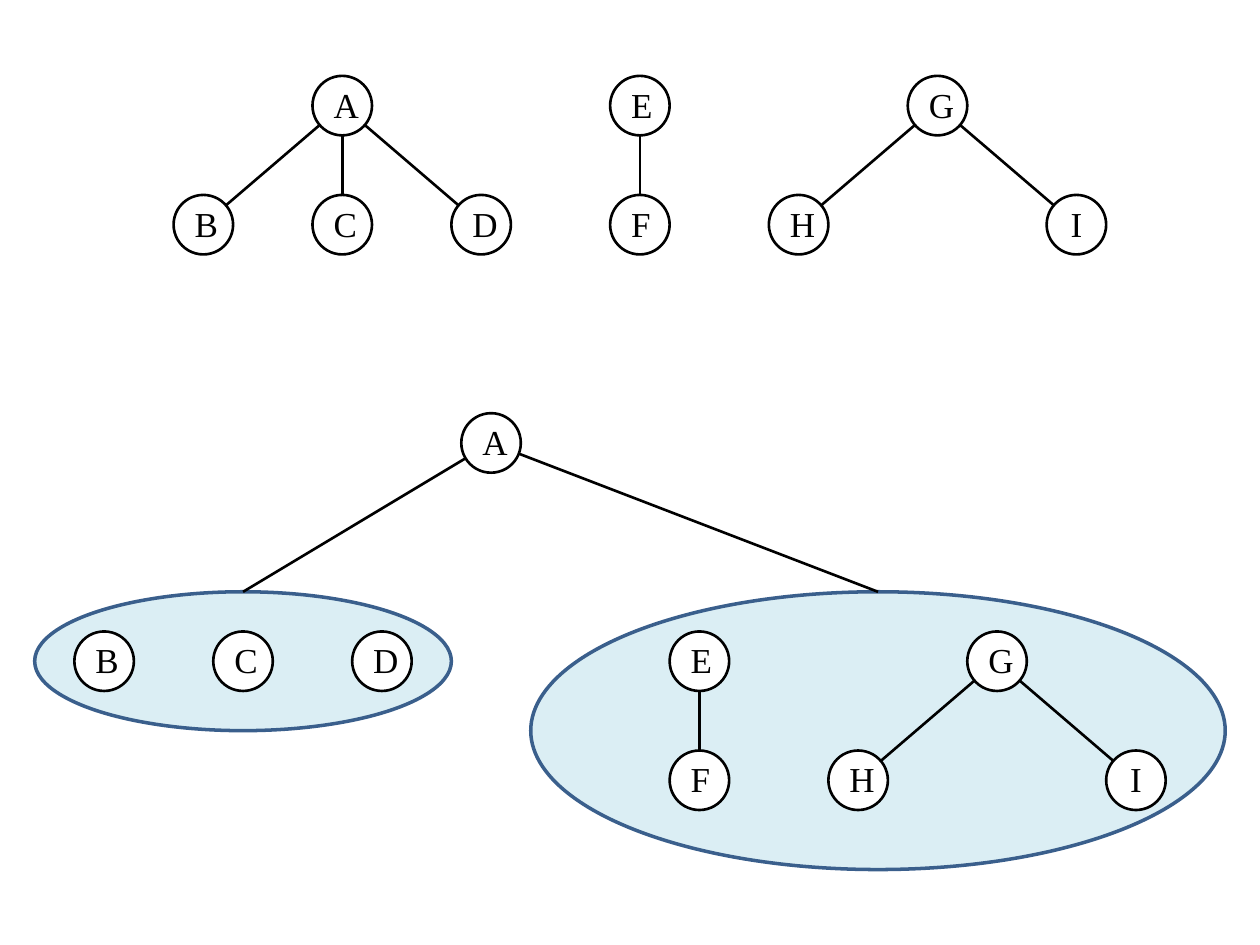
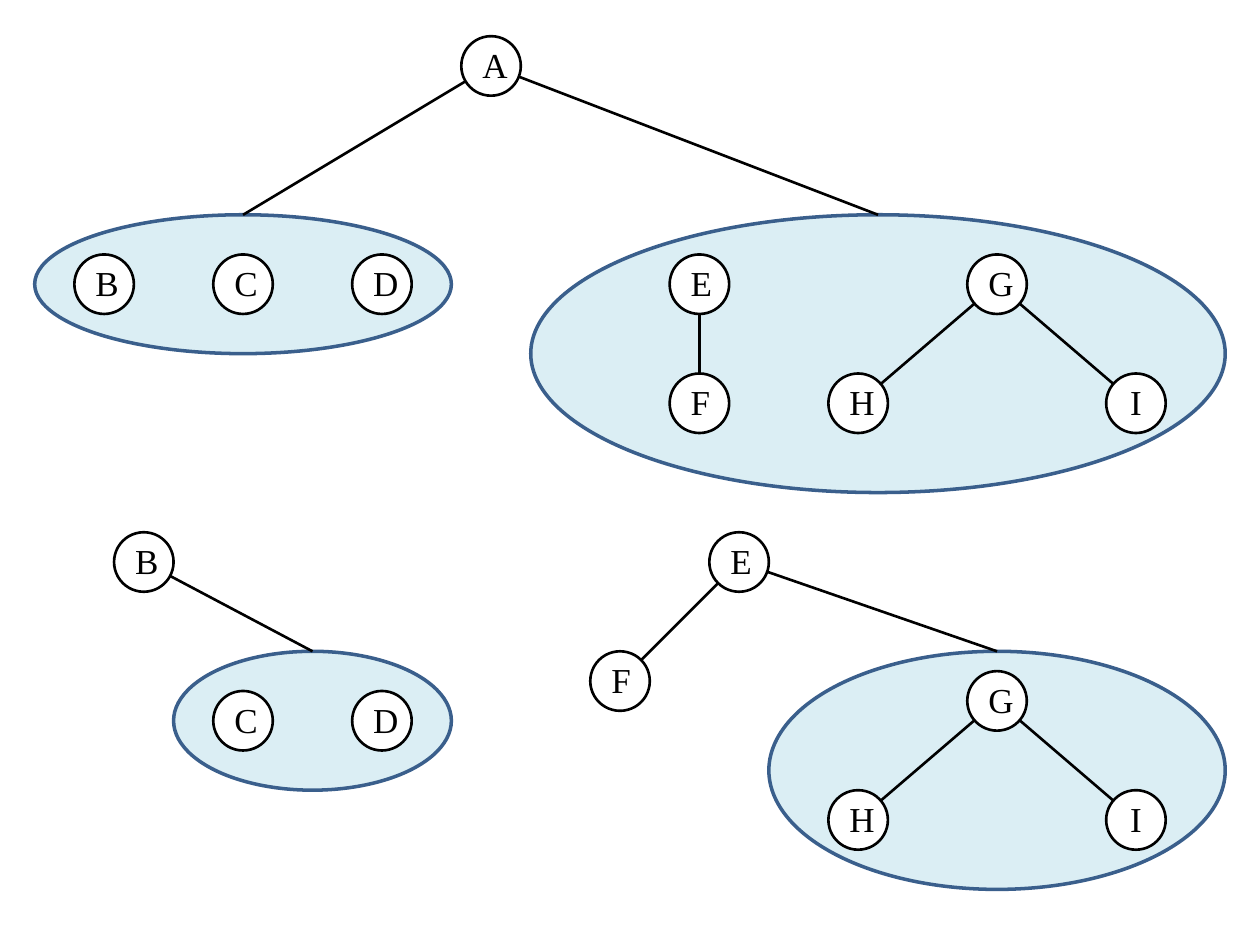
import dataclasses

import lxml.etree
import pptx
import pptx.dml.color
import pptx.enum.shapes
import pptx.enum.text
import pptx.oxml.ns
import pptx.util

Cm = pptx.util.Cm
Pt = pptx.util.Pt
RGB = pptx.dml.color.RGBColor.from_string


@dataclasses.dataclass(frozen=True)
class Theme:
    ink: str = "000000"
    paper: str = "FFFFFF"
    group_fill: str = "DBEEF4"
    group_line: str = "3A5F8C"
    font: str = "Times New Roman"
    size: float = 20
    line: float = 1.5
    group_width: float = 2
    node: float = 1.2
    step: float = 2.8
    level: float = 2.4


@dataclasses.dataclass(frozen=True)
class Box:
    x: float
    y: float
    w: float
    h: float

    @property
    def top(self):
        return self.x + self.w / 2, self.y


T = Theme()
PAIR = {"H": -T.step, "I": T.step}
TRIPLE = {"B": -T.step, "C": 0, "D": T.step}


def ellipse(s, box, fill, line, width):
    sp = s.shapes.add_shape(pptx.enum.shapes.MSO_SHAPE.OVAL,
                            Cm(box.x), Cm(box.y), Cm(box.w), Cm(box.h))
    sp.shadow.inherit = False
    sp.fill.solid()
    sp.fill.fore_color.rgb = RGB(fill)
    sp.line.color.rgb = RGB(line)
    sp.line.width = Pt(width)
    return sp


def group(s, box):
    ellipse(s, box, T.group_fill, T.group_line, T.group_width)


def node(s, label, x, y):
    box = Box(x - T.node / 2, y - T.node / 2, T.node, T.node)
    sp = ellipse(s, box, T.paper, T.ink, T.line)
    tf = sp.text_frame
    tf.word_wrap = True
    tf.vertical_anchor = pptx.enum.text.MSO_ANCHOR.BOTTOM
    tf.margin_left = tf.margin_right = Cm(0.25)
    tf.margin_top = 0
    tf.margin_bottom = Cm(0.03)
    p = tf.paragraphs[0]
    p.text = label
    p.alignment = pptx.enum.text.PP_ALIGN.CENTER
    p.font.name = T.font
    p.font.size = Pt(T.size)
    p.font.color.rgb = RGB(T.ink)


def edge(s, start, end):
    line = s.shapes.add_connector(pptx.enum.shapes.MSO_CONNECTOR.STRAIGHT,
                                  *(Cm(v) for v in (*start, *end)))
    line.line.color.rgb = RGB(T.ink)
    line.line.width = Pt(T.line)
    sp_pr = line._element.find(pptx.oxml.ns.qn("p:spPr"))
    lxml.etree.SubElement(sp_pr, pptx.oxml.ns.qn("a:effectLst"))


def tree(s, root, x, y, children, groups=()):
    for box in groups:
        edge(s, (x, y), box.top)
    for dx in children.values():
        edge(s, (x, y), (x + dx, y + T.level))
    node(s, root, x, y)
    for label, dx in children.items():
        node(s, label, x + dx, y + T.level)


def row(s, labels, x, y):
    for i, label in enumerate(labels):
        node(s, label, x + i * T.step, y)


def forest(s, x, y):
    tree(s, "A", x, y, TRIPLE)
    tree(s, "E", x + 6, y, {"F": 0})
    tree(s, "G", x + 12, y, PAIR)


def first_split(s, x, y):
    left = Box(x, y + 3, 8.4, 2.8)
    right = Box(x + 10, y + 3, 14, 5.6)
    group(s, left)
    group(s, right)
    tree(s, "A", x + 9.2, y, {}, (left, right))
    row(s, "BCD", left.x + 1.4, left.y + 1.4)
    tree(s, "E", right.x + 3.4, right.y + 1.4, {"F": 0})
    tree(s, "G", right.x + 9.4, right.y + 1.4, PAIR)


def left_split(s, x, y):
    rest = Box(x + 0.6, y + 1.8, 5.6, 2.8)
    group(s, rest)
    tree(s, "B", x, y, {}, (rest,))
    row(s, "CD", rest.x + 1.4, rest.y + 1.4)


def right_split(s, x, y):
    rest = Box(x + 0.6, y + 1.8, 9.2, 4.8)
    group(s, rest)
    tree(s, "E", x, y, {"F": -2.4}, (rest,))
    tree(s, "G", rest.x + 4.6, rest.y + 1, PAIR)


def main():
    prs = pptx.Presentation()
    prs.slide_width = Cm(25.4)
    prs.slide_height = Cm(19.05)
    blank = prs.slide_layouts[6]

    s = prs.slides.add_slide(blank)
    forest(s, 6.9, 2.13)
    first_split(s, 0.7, 8.93)

    s = prs.slides.add_slide(blank)
    first_split(s, 0.7, 1.33)
    left_split(s, 2.9, 11.33)
    right_split(s, 14.9, 11.33)

    prs.save("out.pptx")


main()
